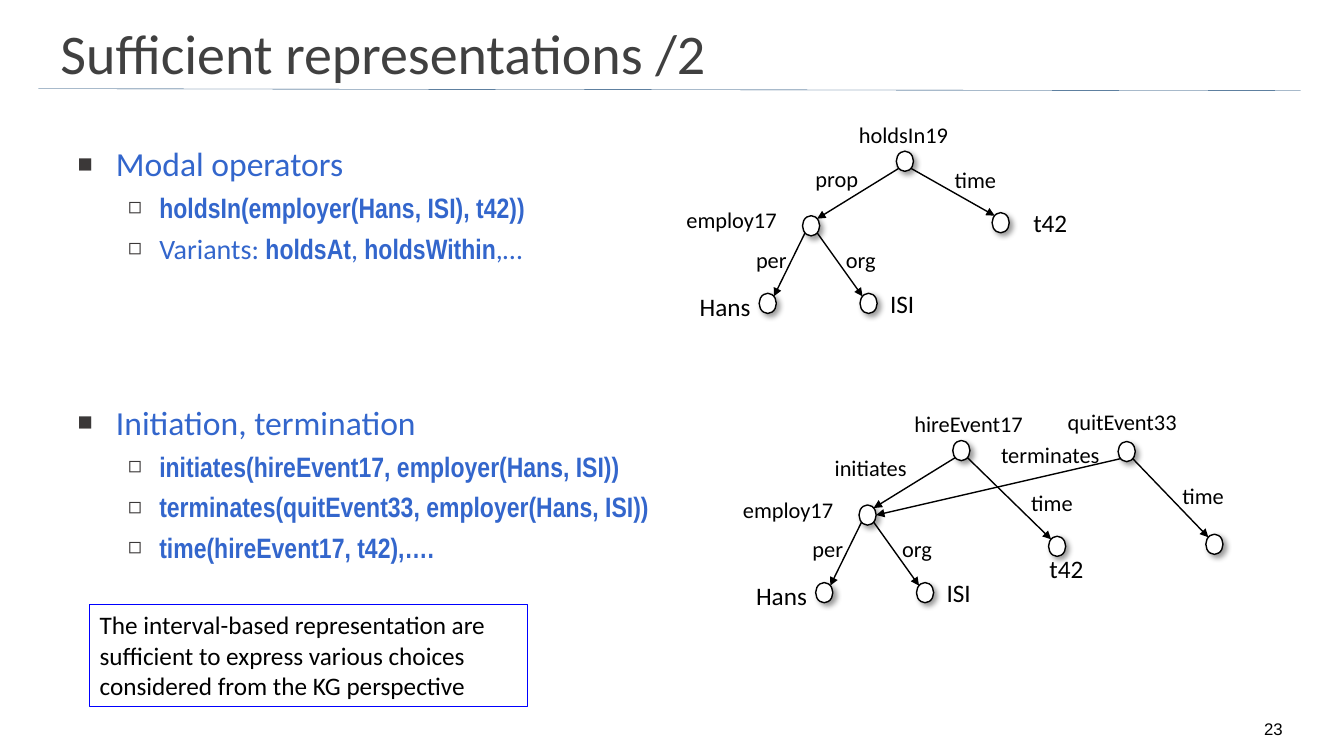
"""Build the slide on sufficient representations: bullets and two event graphs."""
from dataclasses import dataclass, field

from lxml import etree
from pptx import Presentation
from pptx.dml.color import RGBColor
from pptx.enum.shapes import MSO_CONNECTOR, MSO_SHAPE
from pptx.enum.text import MSO_ANCHOR, MSO_AUTO_SIZE, PP_ALIGN
from pptx.oxml.ns import qn
from pptx.util import Inches, Pt

STRAIGHT = MSO_CONNECTOR.STRAIGHT
ELLIPSE, RECTANGLE = MSO_SHAPE.OVAL, MSO_SHAPE.RECTANGLE
TOP, MIDDLE, BOTTOM = MSO_ANCHOR.TOP, MSO_ANCHOR.MIDDLE, MSO_ANCHOR.BOTTOM
NO_AUTOFIT = MSO_AUTO_SIZE.NONE
LEFT, CENTER = PP_ALIGN.LEFT, PP_ALIGN.CENTER

COLORS = {"title": "404040", "body": "3366CC", "bullet": "3B3838", "rule": "093D6E",
          "ink": "000000", "node": "FFFFFF", "frame": "0000FF"}
TEXT_FONT, CODE_FONT, NUMBER_FONT = "Calibri", "Arial Narrow", "Arial"
NODE_WIDTH, NODE_HEIGHT = 0.17, 0.2
CORNER_X, CORNER_Y = 0.06, 0.07


@dataclass(frozen=True)
class Span:
    """A stretch of bullet text, set as code or as prose."""
    text: str
    code: bool = False


@dataclass(frozen=True)
class Bullet:
    """A bullet line with its level and the space above it in points."""
    spans: tuple[Span, ...]
    level: int = 1
    space: float = 5


@dataclass(frozen=True)
class BulletStyle:
    """The look of one bullet level."""
    char: str
    percent: int
    margin: float
    hanging: float
    size: int


@dataclass(frozen=True)
class Label:
    """A graph label: name, position, width and text size."""
    text: str
    left: float
    top: float
    width: float = 1.31
    size: int = 16


@dataclass(frozen=True)
class Edge:
    """An arrow between two named nodes, ending at a corner or a side."""
    start: str
    end: str
    into_side: bool = False


@dataclass
class Graph:
    """Nodes by top left position, with their arrows and labels."""
    nodes: dict[str, tuple[float, float]]
    edges: list[Edge] = field(default_factory=list)
    labels: list[Label] = field(default_factory=list)


STYLES = (BulletStyle("■", 75, 0.38, 0.38, 24), BulletStyle("◻", 80, 0.81, 0.31, 20))
BULLETS = (
    Bullet((Span("Modal operators"),), 0, 0),
    Bullet((Span("holdsIn(employer(Hans, ISI), t42))", True),)),
    Bullet((Span("Variants: "), Span("holdsAt", True), Span(", "),
            Span("holdsWithin", True), Span(",…"))),
    Bullet((Span("Initiation, termination"),), 0, 98),
    Bullet((Span("initiates(hireEvent17, employer(Hans, ISI))", True),)),
    Bullet((Span("terminates(quitEvent33, employer(Hans, ISI))", True),)),
    Bullet((Span("time(hireEvent17, t42),….", True),)),
)


def employment(left: float, top: float) -> Graph:
    """Return the employ17 subtree that both graphs share."""
    return Graph(
        {"employ": (left, top), "Hans": (left - 0.43, top + 0.77),
         "ISI": (left + 0.57, top + 0.77)},
        [Edge("employ", "Hans"), Edge("employ", "ISI")],
        [Label("Hans", left - 1.12, top + 0.7, 0.75, 18),
         Label("ISI", left + 0.77, top + 0.67, 0.75, 18),
         Label("per", left - 0.56, top + 0.25, 0.59),
         Label("org", left + 0.33, top + 0.25, 0.59),
         Label("employ17", left - 1.25, top - 0.14)])


def holding_graph() -> Graph:
    """Return the graph of the holdsIn19 proposition."""
    graph = employment(7.96, 2.14)
    graph.nodes.update({"holds": (8.89, 1.5), "t42": (9.84, 2.11)})
    graph.edges += [Edge("holds", "employ"), Edge("holds", "t42")]
    graph.labels += [Label("t42", 10.15, 2.01, 0.75, 18), Label("time", 9.37, 1.6, 0.67),
                     Label("prop", 7.99, 1.59, 0.7), Label("holdsIn19", 8.42, 1.15)]
    return graph


def event_graph() -> Graph:
    """Return the graph of the hire and quit events."""
    graph = employment(8.52, 5.01)
    graph.nodes.update({"hire": (9.45, 4.37), "quit": (11.09, 4.38),
                        "t42": (10.4, 5.32), "quit time": (11.96, 5.3)})
    graph.edges += [Edge("hire", "employ"), Edge("hire", "t42"),
                    Edge("quit", "employ", True), Edge("quit", "quit time")]
    graph.labels += [Label("t42", 10.31, 5.44, 0.75, 18), Label("time", 10.13, 4.8, 0.67),
                     Label("initiates", 8.18, 4.46, 1.07), Label("hireEvent17", 8.97, 4.02),
                     Label("quitEvent33", 10.49, 4), Label("time", 11.63, 4.73, 0.67),
                     Label("terminates", 9.83, 4.33)]
    return graph


def set_font(font, name: str, size: float, color: str, bold: bool = False) -> None:
    """Set typeface, size, colour and weight."""
    font.name, font.size, font.bold = name, Pt(size), bold
    font.color.rgb = RGBColor.from_string(COLORS[color])


def set_line(line, color: str, width: float) -> None:
    """Set the colour and width of an outline."""
    line.color.rgb = RGBColor.from_string(COLORS[color])
    line.width = Pt(width)


def add_child(parent, tag: str, **attributes: str):
    """Append a drawing element and return it."""
    return etree.SubElement(parent, qn(tag), attributes)


def place(shape, left: float, top: float, width: float, height: float) -> None:
    """Move and size a shape in inches."""
    shape.left, shape.top = Inches(left), Inches(top)
    shape.width, shape.height = Inches(width), Inches(height)


def write(shape, text: str, name: str, size: float, color: str,
          anchor=TOP, align=LEFT) -> None:
    """Fill a shape with one paragraph of wrapped text."""
    frame = shape.text_frame
    frame.word_wrap, frame.auto_size, frame.vertical_anchor = True, NO_AUTOFIT, anchor
    para = frame.paragraphs[0]
    para.text, para.alignment = text, align
    set_font(para.font, name, size, color)


def add_label(shapes, label: Label) -> None:
    """Draw a graph label."""
    height = 0.4 if label.size == 18 else 0.37
    box = shapes.add_textbox(*map(Inches, (label.left, label.top, label.width, height)))
    write(box, label.text, TEXT_FONT, label.size, "ink")


def add_line(shapes, ends: tuple[float, ...], color: str, width: float, arrow: bool) -> None:
    """Draw a straight line without shadow, optionally with an arrowhead."""
    connector = shapes.add_connector(STRAIGHT, *map(Inches, ends))
    set_line(connector.line, color, width)
    properties = connector._element.spPr
    if arrow:
        add_child(properties.find(qn("a:ln")), "a:tailEnd", type="triangle")
    add_child(properties, "a:effectLst")


def add_node(shapes, left: float, top: float) -> None:
    """Draw a white node with a soft shadow."""
    node = shapes.add_shape(ELLIPSE, *map(Inches, (left, top, NODE_WIDTH, NODE_HEIGHT)))
    node.fill.solid()
    node.fill.fore_color.rgb = RGBColor.from_string(COLORS["node"])
    set_line(node.line, "ink", 1)
    node.shadow.inherit = False
    effects = node._element.spPr.find(qn("a:effectLst"))
    shadow = add_child(effects, "a:outerShdw", blurRad=str(Pt(4)), dist=str(Pt(3)),
                       dir="2700000", algn="tl", rotWithShape="0")
    add_child(add_child(shadow, "a:srgbClr", val=COLORS["ink"]), "a:alpha", val="40000")


def add_graph(slide, graph: Graph) -> None:
    """Draw a graph as one group."""
    shapes = slide.shapes.add_group_shape().shapes
    for left, top in graph.nodes.values():
        add_node(shapes, left, top)
    for edge in graph.edges:
        (x1, y1), (x2, y2) = ((left + NODE_WIDTH / 2, top + NODE_HEIGHT / 2) for left, top
                              in (graph.nodes[edge.start], graph.nodes[edge.end]))
        side = 1 if x2 > x1 else -1
        reach, rise = (NODE_WIDTH / 2, 0) if edge.into_side else (CORNER_X, CORNER_Y)
        ends = (x1 + side * CORNER_X, y1 + CORNER_Y, x2 - side * reach, y2 - rise)
        add_line(shapes, ends, "ink", 1, True)
    for label in graph.labels:
        add_label(shapes, label)


def add_bullet(para, bullet: Bullet) -> None:
    """Write one bullet line."""
    style = STYLES[bullet.level]
    para.level, para.space_before = bullet.level, Pt(bullet.space)
    properties = para._p.get_or_add_pPr()
    properties.set("marL", str(Inches(style.margin)))
    properties.set("indent", str(-Inches(style.hanging)))
    add_child(add_child(properties, "a:buClr"), "a:srgbClr", val=COLORS["bullet"])
    add_child(properties, "a:buSzPct", val=str(style.percent * 1000))
    add_child(properties, "a:buFont", typeface=NUMBER_FONT)
    add_child(properties, "a:buChar", char=style.char)
    for span in bullet.spans:
        run = para.add_run()
        run.text = span.text
        font = para.font if len(bullet.spans) == 1 else run.font
        set_font(font, CODE_FONT if span.code else TEXT_FONT, style.size, "body", span.code)


def main() -> None:
    """Build and save the deck."""
    deck = Presentation()
    deck.slide_width, deck.slide_height = Inches(13.33), Inches(7.5)
    slide = deck.slides.add_slide(deck.slide_layouts[1])
    title, body = slide.placeholders
    add_line(slide.shapes, (0.38, 0.88, 12.9, 0.9), "rule", 0.25, False)
    place(title, 0.5, 0.23, 10.81, 0.58)
    write(title, "Sufficient representations /2", TEXT_FONT, 40, "title", MIDDLE)
    place(body, 0.67, 1.37, 6.86, 5.9)
    frame = body.text_frame
    frame.word_wrap, frame.auto_size = True, NO_AUTOFIT
    for index, bullet in enumerate(BULLETS):
        add_bullet(frame.add_paragraph() if index else frame.paragraphs[0], bullet)
    for graph in (holding_graph(), event_graph()):
        add_graph(slide, graph)
    callout = slide.shapes.add_shape(RECTANGLE, *map(Inches, (0.89, 6, 4.34, 1.01)))
    callout.fill.background()
    set_line(callout.line, "frame", 0.75)
    callout.shadow.inherit = False
    write(callout, "The interval-based representation are sufficient to express various "
          "choices considered from the KG perspective", TEXT_FONT, 18, "ink")
    number = slide.shapes.add_textbox(*map(Inches, (12.35, 7.13, 0.56, 0.25)))
    write(number, "23", NUMBER_FONT, 12, "ink", BOTTOM, CENTER)
    deck.save("out.pptx")


if __name__ == "__main__":
    main()
